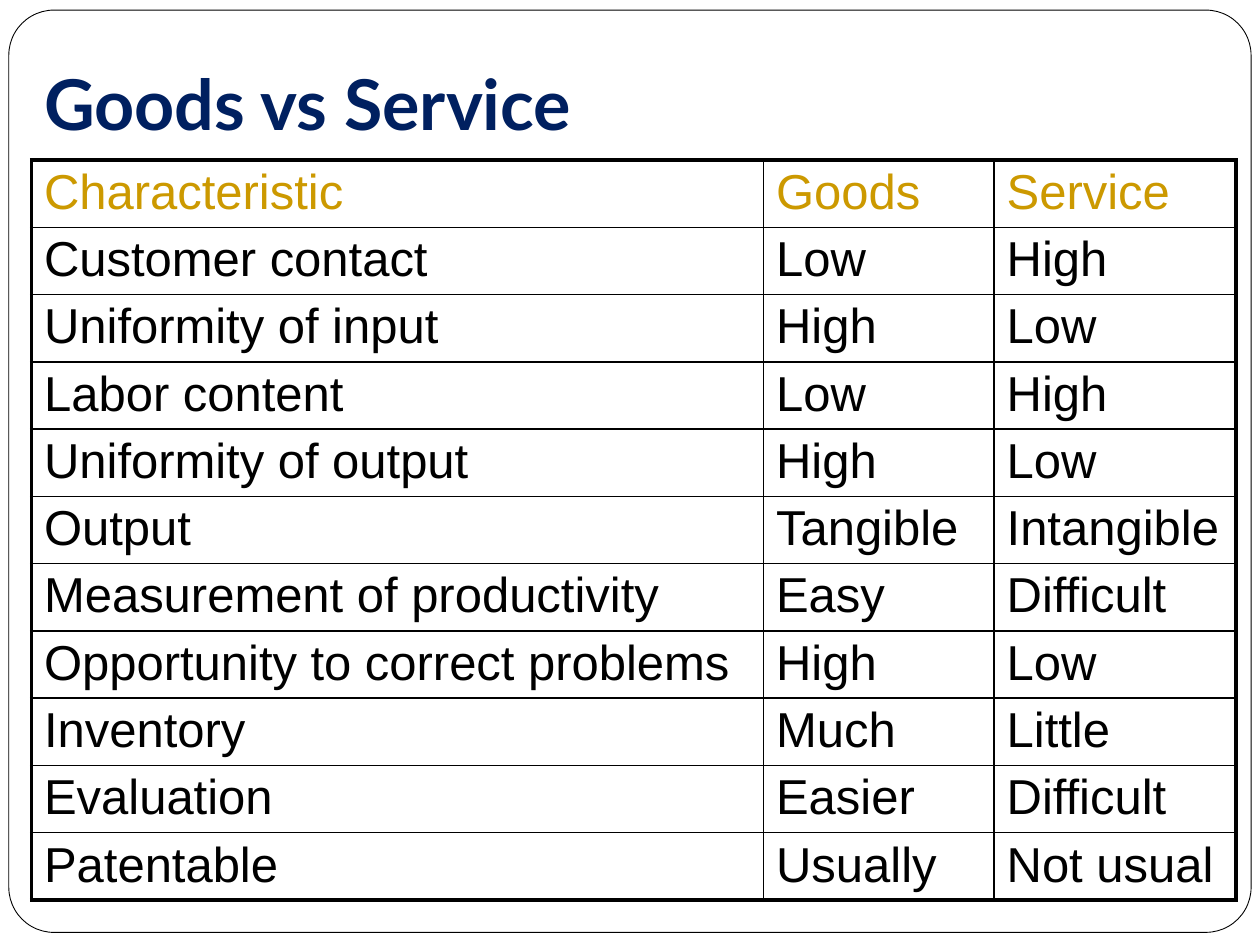
from lxml import etree
from pptx import Presentation
from pptx.dml.color import RGBColor
from pptx.enum.shapes import MSO_SHAPE
from pptx.enum.text import MSO_ANCHOR, MSO_AUTO_SIZE, PP_ALIGN
from pptx.oxml.ns import qn
from pptx.util import Inches, Pt

ROUNDED = MSO_SHAPE.ROUNDED_RECTANGLE
BOTTOM, LEFT, NO_FIT = MSO_ANCHOR.BOTTOM, PP_ALIGN.LEFT, MSO_AUTO_SIZE.NONE
BLACK, WHITE, NAVY, GOLD = "000000", "FFFFFF", "002060", "CC9900"
THIN, THICK = 1, 2.25
COLUMN_WIDTHS = (5.81, 1.83, 1.92)
COMPARISON = (
    ("Characteristic", "Goods", "Service"),
    ("Customer contact", "Low", "High"),
    ("Uniformity of input", "High", "Low"),
    ("Labor content", "Low", "High"),
    ("Uniformity of output", "High", "Low"),
    ("Output", "Tangible", "Intangible"),
    ("Measurement of productivity", "Easy", "Difficult"),
    ("Opportunity to correct problems", "High", "Low"),
    ("Inventory", "Much", "Little"),
    ("Evaluation", "Easier", "Difficult"),
    ("Patentable", "Usually", "Not usual"),
)


def rgb(value):
    """Turn a hex string into a colour."""
    return RGBColor.from_string(value)


def write(frame, text, size=28, font="Arial", color=BLACK, bold=False):
    """Write one left-aligned paragraph with its format."""
    paragraph = frame.paragraphs[0]
    paragraph.alignment = LEFT
    run = paragraph.add_run()
    run.text = text
    run.font.size, run.font.name, run.font.bold = Pt(size), font, bold
    run.font.color.rgb = rgb(color)


def add_frame(slide, left, top, width, height):
    """Draw the rounded slide border behind the title."""
    border = slide.shapes.add_shape(
        ROUNDED, Inches(left), Inches(top), Inches(width), Inches(height))
    border.adjustments[0] = 0.049
    border.shadow.inherit = False
    border.fill.solid()
    border.fill.fore_color.rgb = rgb(WHITE)
    border.line.color.rgb = rgb(BLACK)
    border.line.width = Pt(0.5)
    slide.shapes.title.element.addprevious(border.element)


def add_title(slide, text, left, top, width, height):
    """Place and format the title placeholder."""
    title = slide.shapes.title
    title.left, title.top = Inches(left), Inches(top)
    title.width, title.height = Inches(width), Inches(height)
    frame = title.text_frame
    frame.auto_size = NO_FIT
    frame.vertical_anchor = BOTTOM
    frame.margin_bottom = Inches(0.1)
    write(frame, text, size=40, font="Lato", color=NAVY, bold=True)


def set_borders(cell, **widths):
    """Give the cell a black line on each named side."""
    properties = cell._tc.get_or_add_tcPr()
    for side in "LRTB":
        line = etree.SubElement(properties, qn("a:ln" + side), w=str(Pt(widths[side])))
        fill = etree.SubElement(line, qn("a:solidFill"))
        etree.SubElement(fill, qn("a:srgbClr"), val=BLACK)


def add_comparison(slide, left, top, row_height):
    """Build the table with a thick outline and thin inner lines."""
    rows, columns = len(COMPARISON), len(COLUMN_WIDTHS)
    table = slide.shapes.add_table(
        rows, columns, Inches(left), Inches(top),
        Inches(sum(COLUMN_WIDTHS)), Inches(rows * row_height)).table
    table.first_row = table.horz_banding = False
    for column, width in zip(table.columns, COLUMN_WIDTHS):
        column.width = Inches(width)
    for r, entries in enumerate(COMPARISON):
        for c, entry in enumerate(entries):
            cell = table.cell(r, c)
            cell.margin_top = cell.margin_bottom = Inches(0.04)
            set_borders(cell,
                        L=THICK if c == 0 else THIN,
                        R=THICK if c == columns - 1 else THIN,
                        T=THICK if r == 0 else THIN,
                        B=THICK if r == rows - 1 else THIN)
            cell.fill.background()
            write(cell.text_frame, entry, color=GOLD if r == 0 else BLACK)


def build():
    """Assemble and save the slide."""
    deck = Presentation()
    deck.slide_width, deck.slide_height = Inches(10), Inches(7.5)
    slide = deck.slides.add_slide(deck.slide_layouts[5])
    add_frame(slide, 0.07, 0.08, 9.86, 7.32)
    add_title(slide, "Goods vs Service", 0.25, -0.08, 9.08, 1.33)
    add_comparison(slide, 0.25, 1.27, 0.534)
    deck.save("out.pptx")


build()
